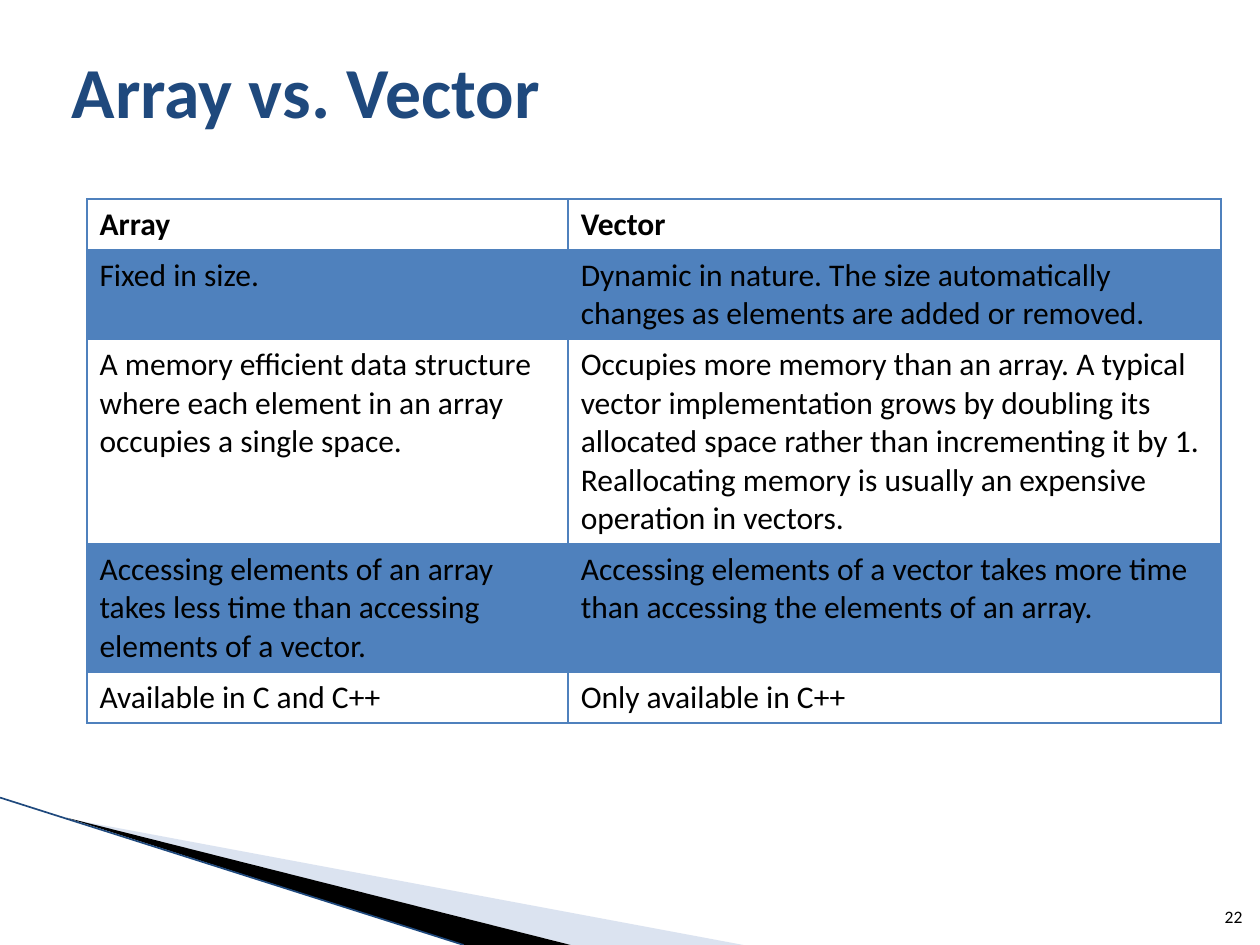
from lxml.etree import SubElement
from pptx import Presentation
from pptx.dml.color import RGBColor
from pptx.enum.shapes import MSO_CONNECTOR
from pptx.enum.text import MSO_ANCHOR, PP_ALIGN
from pptx.oxml.ns import qn
from pptx.util import Inches, Pt

FONT = "Calibri"
COLORS = {"title": "1F497D", "text": "000000", "table": "4F81BD",
          "pale": "A7B9DB", "dark": "000000", "edge": "1F497D"}
TITLE = "Array vs. Vector"
NUMBER = "22"
ROWS = [
    ("Array", "Vector"),
    ("Fixed in size. ",
     "Dynamic in nature. The size automatically changes as elements are added or removed."),
    ("A memory efficient data structure where each element in an array occupies a single space. ",
     "Occupies more memory than an array. A typical vector implementation grows by doubling its "
     "allocated space rather than incrementing it by 1. Reallocating memory is usually an "
     "expensive operation in vectors."),
    ("Accessing elements of an array takes less time than accessing elements of a vector.",
     "Accessing elements of a vector takes more time than accessing the elements of an array."),
    ("Available in C and C++", "Only available in C++"),
]
COL_WIDTHS = (3.82, 5.18)
LINES_PER_ROW = (1, 2, 5, 3, 1)
LINE_HEIGHT, CELL_PADDING = 0.305, 0.1
WEDGES = [
    ("pale", 40, [(0.55, 6.5), (5.9, 7.5), (4.53, 7.5)]),
    ("dark", 100, [(0.53, 6.49), (4.53, 7.5), (3.68, 7.5)]),
]


def rgb(name):
    return RGBColor.from_string(COLORS[name])


def set_fill(fill, name, opacity=100):
    fill.solid()
    fill.fore_color.rgb = rgb(name)
    if opacity < 100:
        clr = fill._xPr.find(".//" + qn("a:srgbClr"))
        SubElement(clr, qn("a:alpha"), val=str(opacity * 1000))


def style(p, size, color="text", bold=False):
    p.font.name, p.font.size, p.font.bold = FONT, Pt(size), bold
    p.font.color.rgb = rgb(color)


def add_border(tc_pr, side, width):
    ln = SubElement(tc_pr, qn("a:ln" + side), w=str(Pt(width)))
    solid = SubElement(ln, qn("a:solidFill"))
    SubElement(solid, qn("a:srgbClr"), val=COLORS["table"])


prs = Presentation()
prs.slide_width, prs.slide_height = Inches(10), Inches(7.5)
s = prs.slides.add_slide(prs.slide_layouts[5])

for color, opacity, points in WEDGES:
    start, *rest = [(Inches(x), Inches(y)) for x, y in points]
    builder = s.shapes.build_freeform(*start)
    builder.add_line_segments(rest)
    sp = builder.convert_to_shape()
    set_fill(sp.fill, color, opacity)
    sp.line.fill.background()
    sp.shadow.inherit = False

edge = s.shapes.add_connector(MSO_CONNECTOR.STRAIGHT, 0, Inches(6.33), Inches(3.68), Inches(7.5))
edge.line.color.rgb = rgb("edge")
edge.line.width = Pt(0.95)
SubElement(edge._element.spPr, qn("a:effectLst"))

title = s.shapes.title
title.left, title.top, title.width, title.height = map(Inches, (0.47, 0.09, 9, 1.25))
title.text_frame.text = TITLE
title.text_frame.vertical_anchor = MSO_ANCHOR.MIDDLE
p = title.text_frame.paragraphs[0]
p.alignment = PP_ALIGN.LEFT
style(p, 41, "title", True)

number = s.shapes.add_textbox(*map(Inches, (9.46, 7.01, 0.4, 0.4)))
tf = number.text_frame
tf.word_wrap = True
tf.vertical_anchor = MSO_ANCHOR.BOTTOM
tf.margin_left = tf.margin_right = 0
p = tf.paragraphs[0]
p.text = NUMBER
p.alignment = PP_ALIGN.RIGHT
style(p, 10)

heights = [n * LINE_HEIGHT + CELL_PADDING for n in LINES_PER_ROW]
table = s.shapes.add_table(len(ROWS), len(COL_WIDTHS), Inches(0.69), Inches(1.58),
                           Inches(sum(COL_WIDTHS)), Inches(sum(heights))).table
for col, width in zip(table.columns, COL_WIDTHS):
    col.width = Inches(width)
for i, (texts, height) in enumerate(zip(ROWS, heights)):
    table.rows[i].height = Inches(height)
    for j, text in enumerate(texts):
        cell = table.cell(i, j)
        cell.text = text
        style(cell.text_frame.paragraphs[0], 18, bold=i == 0)
        tc_pr = cell._tc.get_or_add_tcPr()
        for side in "LRTB":
            heavy = (i, side) in ((0, "B"), (1, "T"))
            add_border(tc_pr, side, 2 if heavy else 1)
        if i % 2:
            set_fill(cell.fill, "table", 20)
        else:
            cell.fill.background()

prs.save("out.pptx")
